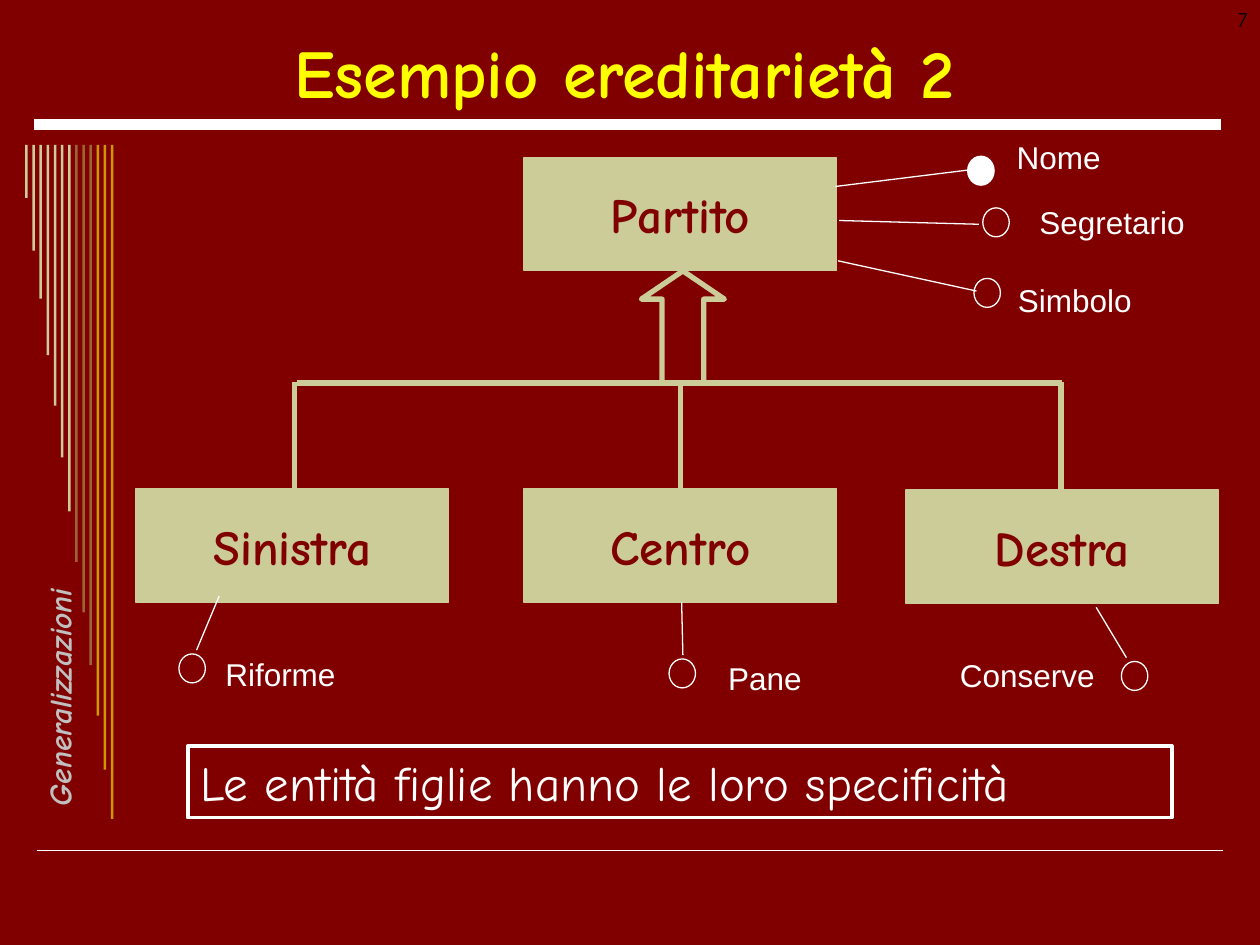
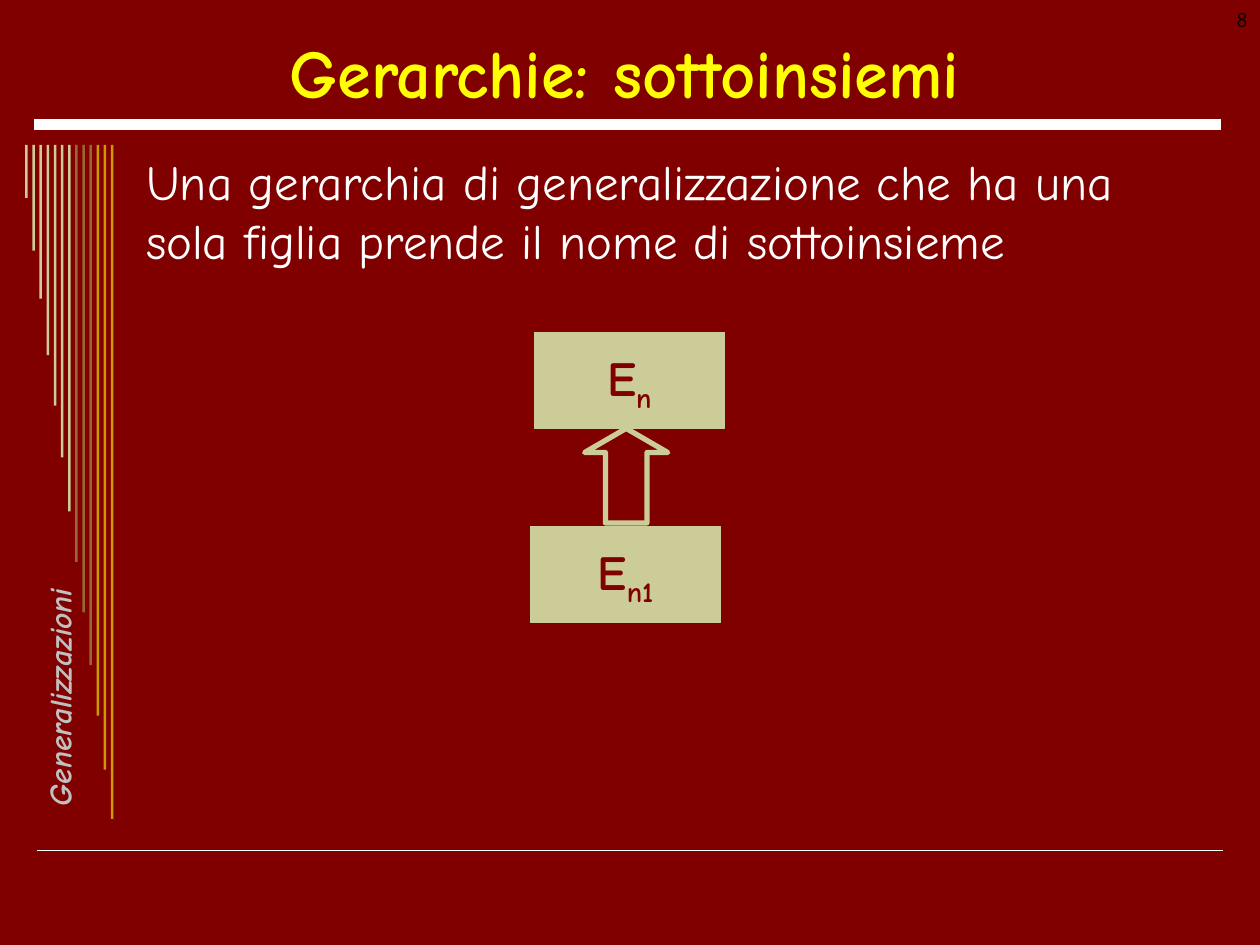
from lxml.etree import SubElement
from pptx import Presentation
from pptx.dml.color import RGBColor
from pptx.enum.shapes import MSO_CONNECTOR, MSO_SHAPE
from pptx.enum.text import MSO_ANCHOR, MSO_AUTO_SIZE, PP_ALIGN
from pptx.oxml.ns import qn
from pptx.util import Inches, Pt

MAROON = RGBColor(0x80, 0x00, 0x00)
YELLOW = RGBColor(0xFF, 0xFF, 0x00)
WHITE = RGBColor(0xFF, 0xFF, 0xFF)
BLACK = RGBColor(0x00, 0x00, 0x00)
SILVER = RGBColor(0xC0, 0xC0, 0xC0)
SAND = RGBColor(0xCC, 0xCC, 0x99)
BROWN = RGBColor(0x99, 0x66, 0x33)
GOLD = RGBColor(0xCC, 0x99, 0x00)

HAND_FONT = "Comic Neue"
LABEL_FONT = "Arial"
TITLE_ONLY, TITLE_AND_BODY = 5, 1
STRIPE_HEIGHTS = [0.42, 0.84, 1.22, 1.67, 2.07, 2.48, 2.91,
                  3.31, 3.71, 4.13, 4.53, 4.96, 5.35]
STRIPE_COLOURS = [SAND] * 7 + [BROWN] * 3 + [GOLD] * 3


class SlideBuilder:
    def __init__(self):
        self.deck = Presentation()
        self.deck.slide_width = Inches(10)
        self.deck.slide_height = Inches(7.5)
        fill = self.deck.slide_master.background.fill
        fill.solid()
        fill.fore_color.rgb = MAROON
        self.page = None

    def start_page(self, layout, title, number):
        self.page = self.deck.slides.add_slide(self.deck.slide_layouts[layout])
        self.line((0.29, 6.75), (9.71, 6.75), WHITE, 1)
        self.line((0.27, 0.99), (9.69, 0.99), WHITE, 6)
        for index, (height, colour) in enumerate(zip(STRIPE_HEIGHTS, STRIPE_COLOURS)):
            left = 0.2 + index * 0.68 / 12
            self.shape(MSO_SHAPE.RECTANGLE, left, 1.15, 0.02, height, fill=colour)
        section = self.text_box(-0.75, 5.24, 2.28, 0.24, "Generalizzazioni", 18,
                                SILVER, bold=True, italic=True)
        section.rotation = 270
        section.text_frame.word_wrap = False
        self.placeholder(self.page.shapes.title, 0.35, 0.21, 9.21, 0.71, title, 39,
                         YELLOW, bold=True, align=PP_ALIGN.CENTER, anchor=MSO_ANCHOR.MIDDLE)
        self.text_box(7.67, 0, 2.33, 0.5, str(number), 12, BLACK, align=PP_ALIGN.RIGHT)

    def set_text(self, box, text, size, colour, font=HAND_FONT, bold=False, italic=False,
                 align=PP_ALIGN.LEFT, anchor=MSO_ANCHOR.TOP, subscript=""):
        frame = box.text_frame
        frame.word_wrap = True
        frame.auto_size = MSO_AUTO_SIZE.NONE
        frame.vertical_anchor = anchor
        para = frame.paragraphs[0]
        para.alignment = align
        para.space_before = Pt(0)
        for part in filter(None, (text, subscript)):
            span = para.add_run()
            span.text = part
            span.font.name = font
            span.font.size = Pt(size)
            span.font.bold = bold
            span.font.italic = italic
            span.font.color.rgb = colour
        if subscript:
            span._r.get_or_add_rPr().set("baseline", "-25000")

    def placeholder(self, box, left, top, width, height, text, size, colour, **style):
        box.left, box.top = Inches(left), Inches(top)
        box.width, box.height = Inches(width), Inches(height)
        self.set_text(box, text, size, colour, **style)

    def body(self, text):
        box = self.page.placeholders[1]
        self.placeholder(box, 1.06, 1.15, 8.52, 5.51, text, 28, WHITE)
        properties = box.text_frame.paragraphs[0]._p.get_or_add_pPr()
        properties.set("marL", "0")
        properties.set("indent", "0")
        SubElement(properties, qn("a:buNone"))

    def text_box(self, left, top, width, height, text, size, colour, **style):
        box = self.page.shapes.add_textbox(Inches(left), Inches(top),
                                           Inches(width), Inches(height))
        self.set_text(box, text, size, colour, **style)
        return box

    def shape(self, kind, left, top, width, height, fill=None, outline=None, weight=0.75):
        shape = self.page.shapes.add_shape(kind, Inches(left), Inches(top),
                                           Inches(width), Inches(height))
        shape.shadow.inherit = False
        for target, colour in ((shape.fill, fill), (shape.line.fill, outline)):
            if colour is None:
                target.background()
            else:
                target.solid()
                target.fore_color.rgb = colour
        if outline is not None:
            shape.line.width = Pt(weight)
        return shape

    def line(self, start, end, colour, weight):
        line = self.page.shapes.add_connector(MSO_CONNECTOR.STRAIGHT,
                                              *map(Inches, start + end))
        line.line.color.rgb = colour
        line.line.width = Pt(weight)
        SubElement(line._element.spPr, qn("a:effectLst"))

    def entity(self, left, top, width, height, name, subscript=""):
        box = self.shape(MSO_SHAPE.RECTANGLE, left, top, width, height, SAND, SAND)
        self.set_text(box, name, 28, MAROON, bold=True, align=PP_ALIGN.CENTER,
                      anchor=MSO_ANCHOR.MIDDLE, subscript=subscript)
        box.text_frame.word_wrap = False

    def inheritance_arrow(self, left, top, height, head):
        arrow = self.shape(MSO_SHAPE.UP_ARROW, left, top, 0.66, height,
                           outline=SAND, weight=3)
        arrow.adjustments[0] = 0.5
        arrow.adjustments[1] = head

    def attribute(self, name, start, end, circle, label, label_width, key=False):
        self.line(start, end, WHITE, 0.75)
        self.shape(MSO_SHAPE.OVAL, *circle, 0.21, 0.23, WHITE if key else None, WHITE)
        self.text_box(*label, label_width, 0.4, name, 18, WHITE, font=LABEL_FONT)

    def framed_note(self, left, top, width, height, text):
        box = self.shape(MSO_SHAPE.RECTANGLE, left, top, width, height,
                         outline=WHITE, weight=2)
        self.set_text(box, text, 28, WHITE)


def build_party_page(builder):
    builder.start_page(TITLE_ONLY, "Esempio ereditarietà 2", 7)
    for name, left, top in (("Partito", 4.16, 1.25), ("Sinistra", 1.08, 3.88),
                            ("Centro", 4.16, 3.88), ("Destra", 7.19, 3.89)):
        builder.entity(left, top, 2.48, 0.9, name)
    for branch in (2.34, 5.4, 8.42):
        builder.line((branch, 3.03), (branch, 3.93), SAND, 3)
    builder.line((2.36, 3.04), (8.43, 3.04), SAND, 3)
    builder.inheritance_arrow(5.09, 2.15, 0.89, 0.34)
    builder.attribute("Nome", (6.63, 1.48), (7.68, 1.35), (7.68, 1.24),
                      (7.97, 1.05), 1.16, key=True)
    for attribute in (
        ("Segretario", (6.66, 1.75), (7.77, 1.78), (7.8, 1.65), (8.15, 1.56), 1.52),
        ("Simbolo", (6.65, 2.07), (7.75, 2.31), (7.73, 2.21), (7.98, 2.18), 1.16),
        ("Riforme", (1.74, 4.73), (1.56, 5.16), (1.42, 5.19), (1.69, 5.15), 1.16),
        ("Conserve", (8.7, 4.82), (8.94, 5.22), (8.9, 5.25), (7.52, 5.16), 1.29),
        ("Pane", (5.41, 4.78), (5.42, 5.2), (5.31, 5.23), (5.68, 5.18), 1.29),
    ):
        builder.attribute(*attribute)
    builder.framed_note(1.49, 5.92, 7.81, 0.57,
                        "Le entità figlie hanno le loro specificità")


def build_subset_page(builder):
    builder.start_page(TITLE_AND_BODY, "Gerarchie: sottoinsiemi", 8)
    builder.body("Una gerarchia di generalizzazione che ha una sola figlia "
                 "prende il nome di sottoinsieme")
    builder.entity(4.24, 2.64, 1.51, 0.76, "E", "n")
    builder.inheritance_arrow(4.64, 3.4, 0.75, 0.29)
    builder.entity(4.21, 4.18, 1.51, 0.76, "E", "n1")


def main():
    builder = SlideBuilder()
    build_party_page(builder)
    build_subset_page(builder)
    builder.deck.save("out.pptx")


if __name__ == "__main__":
    main()
